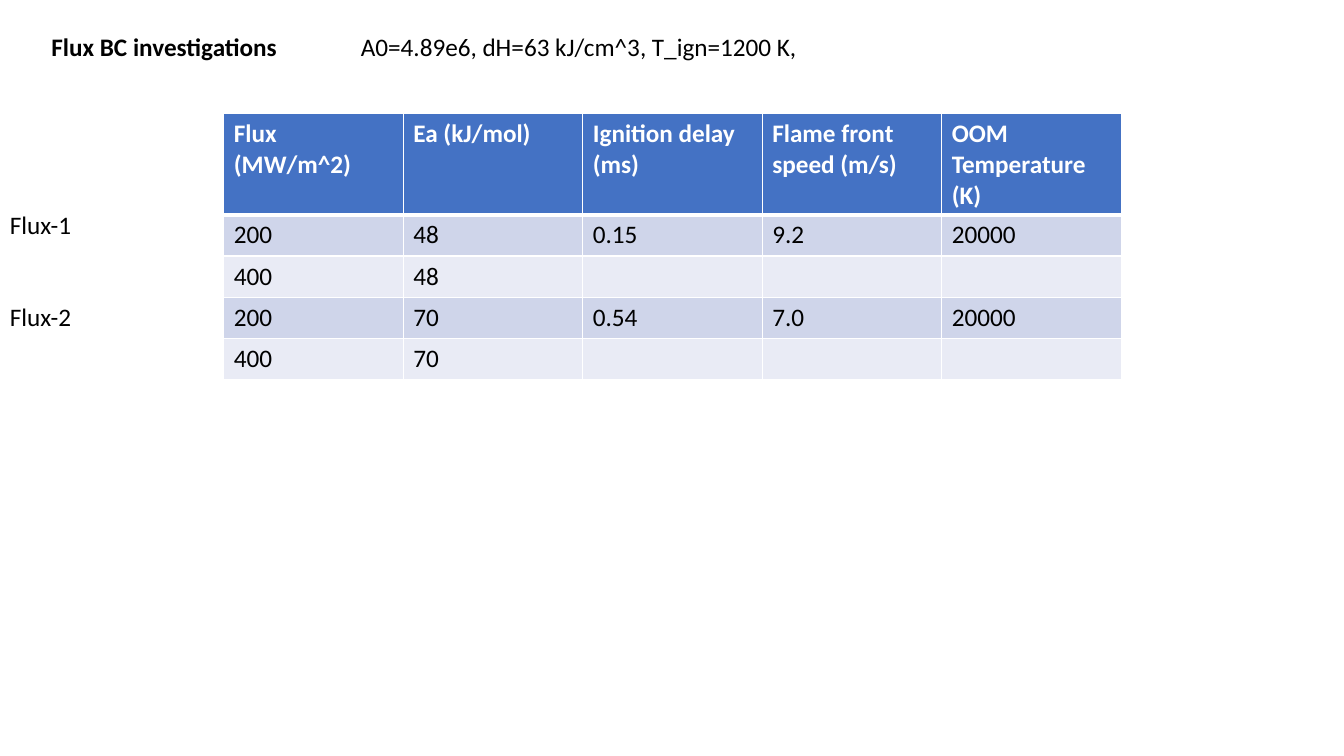
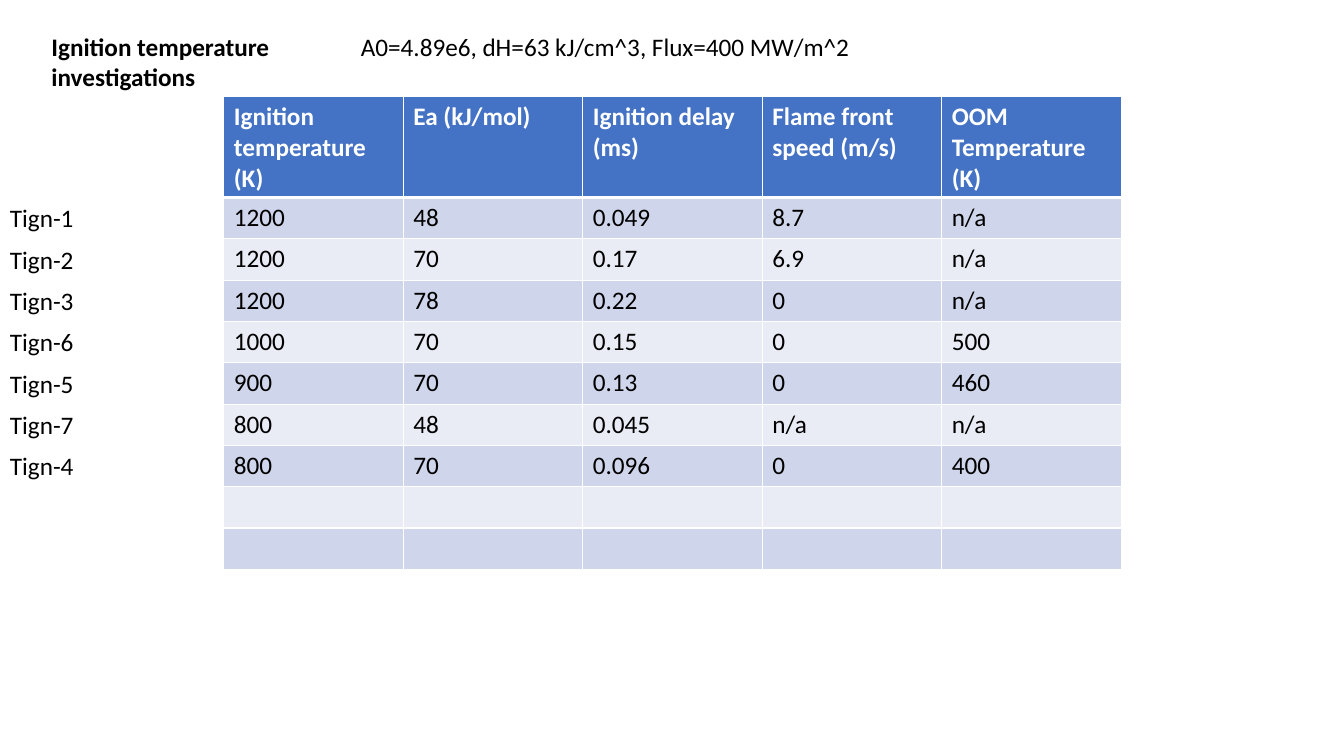
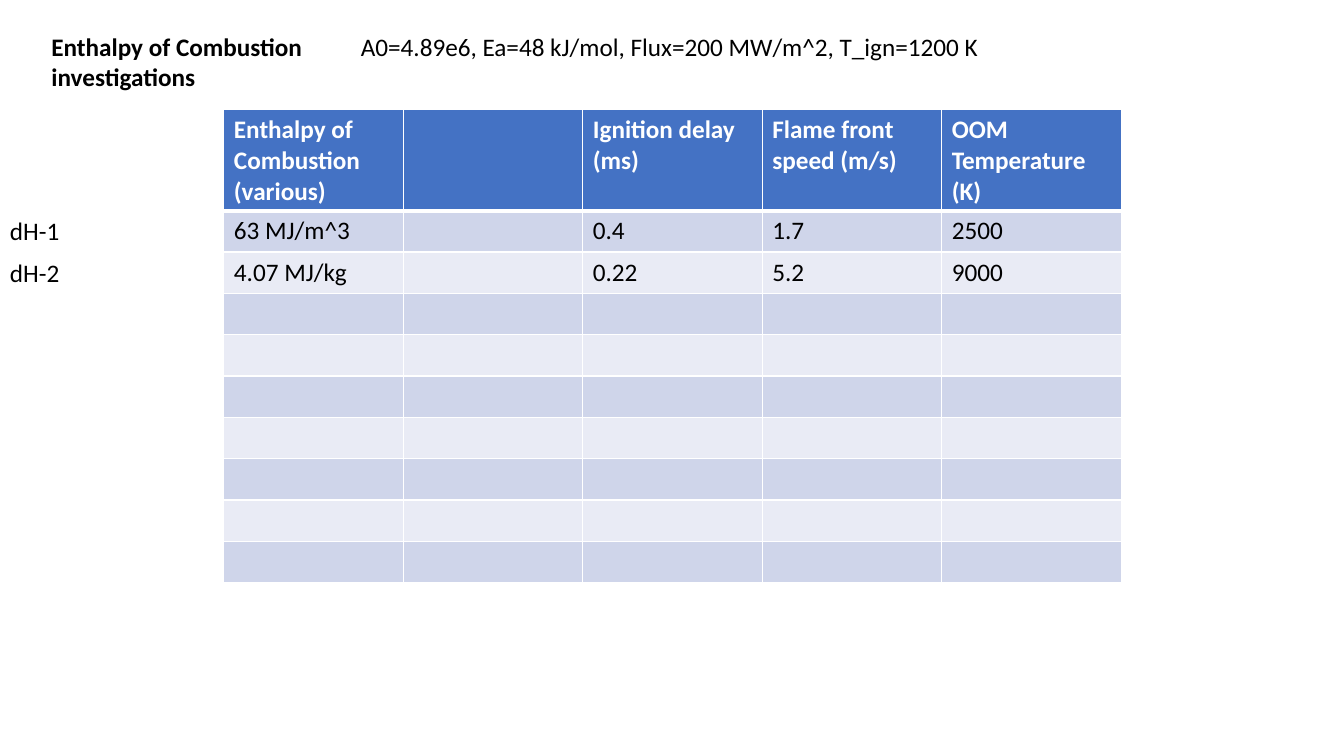
"""Build three slides of ignition parameter studies, each with a results table."""
from lxml import etree
from pptx import Presentation, util as u
from pptx.dml.color import RGBColor
from pptx.enum import text as t
from pptx.oxml.ns import qn

COLORS = {"text": "000000", "header": "4472C4", "white": "FFFFFF",
          "odd": "CFD5EA", "even": "E9EBF5"}
FONT = "Calibri"
RESULTS = ["Ignition delay (ms)", "Flame front speed (m/s)", "OOM Temperature (K)"]
BLANK = [""] * 5

TABLE_LEFT, COLUMN_WIDTH = 2.22, 1.78
HEADER_HEIGHT, ROW_HEIGHT = 1.0, 0.41
TITLE_AREA = (0.41, 0.26, 3.07, 0.71)
SETTINGS_AREA = (3.48, 0.26, 9.11, 0.4)

STUDIES = [
    {
        "title": "Flux BC investigations",
        "settings": "A0=4.89e6, dH=63 kJ/cm^3, T_ign=1200 K,",
        "table_top": 1.13,
        "header": ["Flux (MW/m^2)", "Ea (kJ/mol)"] + RESULTS,
        "rows": [
            ["200", "48", "0.15", "9.2", "20000"],
            ["400", "48", "", "", ""],
            ["200", "70", "0.54", "7.0", "20000"],
            ["400", "70", "", "", ""],
        ],
        "labels": ["Flux-1", "Flux-2"],
        "label_top": 2.03,
        "label_step": 0.91,
    },
    {
        "title": "Ignition temperature investigations",
        "settings": "A0=4.89e6, dH=63 kJ/cm^3, Flux=400 MW/m^2",
        "table_top": 0.96,
        "header": ["Ignition temperature (K)", "Ea (kJ/mol)"] + RESULTS,
        "rows": [
            ["1200", "48", "0.049", "8.7", "n/a"],
            ["1200", "70", "0.17", "6.9", "n/a"],
            ["1200", "78", "0.22", "0", "n/a"],
            ["1000", "70", "0.15", "0", "500"],
            ["900", "70", "0.13", "0", "460"],
            ["800", "48", "0.045", "n/a", "n/a"],
            ["800", "70", "0.096", "0", "400"],
        ] + [BLANK] * 2,
        "labels": [f"Tign-{number}" for number in (1, 2, 3, 6, 5, 7, 4)],
        "label_top": 1.96,
        "label_step": ROW_HEIGHT,
    },
    {
        "title": "Enthalpy of Combustion investigations",
        "settings": "A0=4.89e6, Ea=48 kJ/mol, Flux=200 MW/m^2, T_ign=1200 K",
        "table_top": 1.09,
        "header": ["Enthalpy of Combustion (various)", ""] + RESULTS,
        "rows": [
            ["63 MJ/m^3", "", "0.4", "1.7", "2500"],
            ["4.07 MJ/kg", "", "0.22", "5.2", "9000"],
        ] + [BLANK] * 7,
        "labels": ["dH-1", "dH-2"],
        "label_top": 2.09,
        "label_step": ROW_HEIGHT,
    },
]


def write(frame, text, *, size=18, bold=False, color="text"):
    frame.word_wrap = True
    para = frame.paragraphs[0]
    para.alignment = t.PP_ALIGN.LEFT
    span = para.add_run()
    span.text = text
    span.font.name = FONT
    span.font.size = u.Pt(size)
    span.font.bold = bold
    span.font.color.rgb = RGBColor.from_string(COLORS[color])


def add_text(page, area, text):
    box = page.shapes.add_textbox(*map(u.Inches, area))
    box.text_frame.auto_size = t.MSO_AUTO_SIZE.SHAPE_TO_FIT_TEXT
    write(box.text_frame, text)


def add_title(page, text):
    title = page.shapes.title
    title.left, title.top, title.width, title.height = map(u.Inches, TITLE_AREA)
    title.text_frame.auto_size = t.MSO_AUTO_SIZE.NONE
    title.text_frame.vertical_anchor = t.MSO_ANCHOR.TOP
    write(title.text_frame, text, bold=True)


def set_borders(cell, **widths):
    properties = cell._tc.get_or_add_tcPr()
    for side in ("L", "R", "T", "B"):
        width = u.Pt(widths.get(side, 1))
        line = etree.SubElement(properties, qn(f"a:ln{side}"), w=str(width))
        fill = etree.SubElement(line, qn("a:solidFill"))
        etree.SubElement(fill, qn("a:srgbClr"), val=COLORS["white"])


def add_results(page, top, rows):
    columns = len(rows[0])
    heights = [HEADER_HEIGHT] + [ROW_HEIGHT] * (len(rows) - 1)
    area = (TABLE_LEFT, top, columns * COLUMN_WIDTH, sum(heights))
    table = page.shapes.add_table(len(rows), columns, *map(u.Inches, area)).table
    for column in table.columns:
        column.width = u.Inches(COLUMN_WIDTH)
    for index, values in enumerate(rows):
        table.rows[index].height = u.Inches(heights[index])
        is_header = index == 0
        shade = "header" if is_header else "odd" if index % 2 else "even"
        widths = {0: {"B": 3}, 1: {"T": 3}}.get(index, {})
        for cell, value in zip(table.rows[index].cells, values):
            set_borders(cell, **widths)
            cell.fill.solid()
            cell.fill.fore_color.rgb = RGBColor.from_string(COLORS[shade])
            if value:
                write(cell.text_frame, value, bold=is_header,
                      color="white" if is_header else "text")


def main():
    deck = Presentation()
    deck.slide_width, deck.slide_height = u.Inches(13.33), u.Inches(7.5)
    for study in STUDIES:
        page = deck.slides.add_slide(deck.slide_layouts.get_by_name("Title Only"))
        add_title(page, study["title"])
        add_text(page, SETTINGS_AREA, study["settings"])
        add_results(page, study["table_top"], [study["header"]] + study["rows"])
        for index, label in enumerate(study["labels"]):
            top = study["label_top"] + index * study["label_step"]
            add_text(page, (0, top, 1.79, 0.4), label)
    deck.save("out.pptx")


if __name__ == "__main__":
    main()
